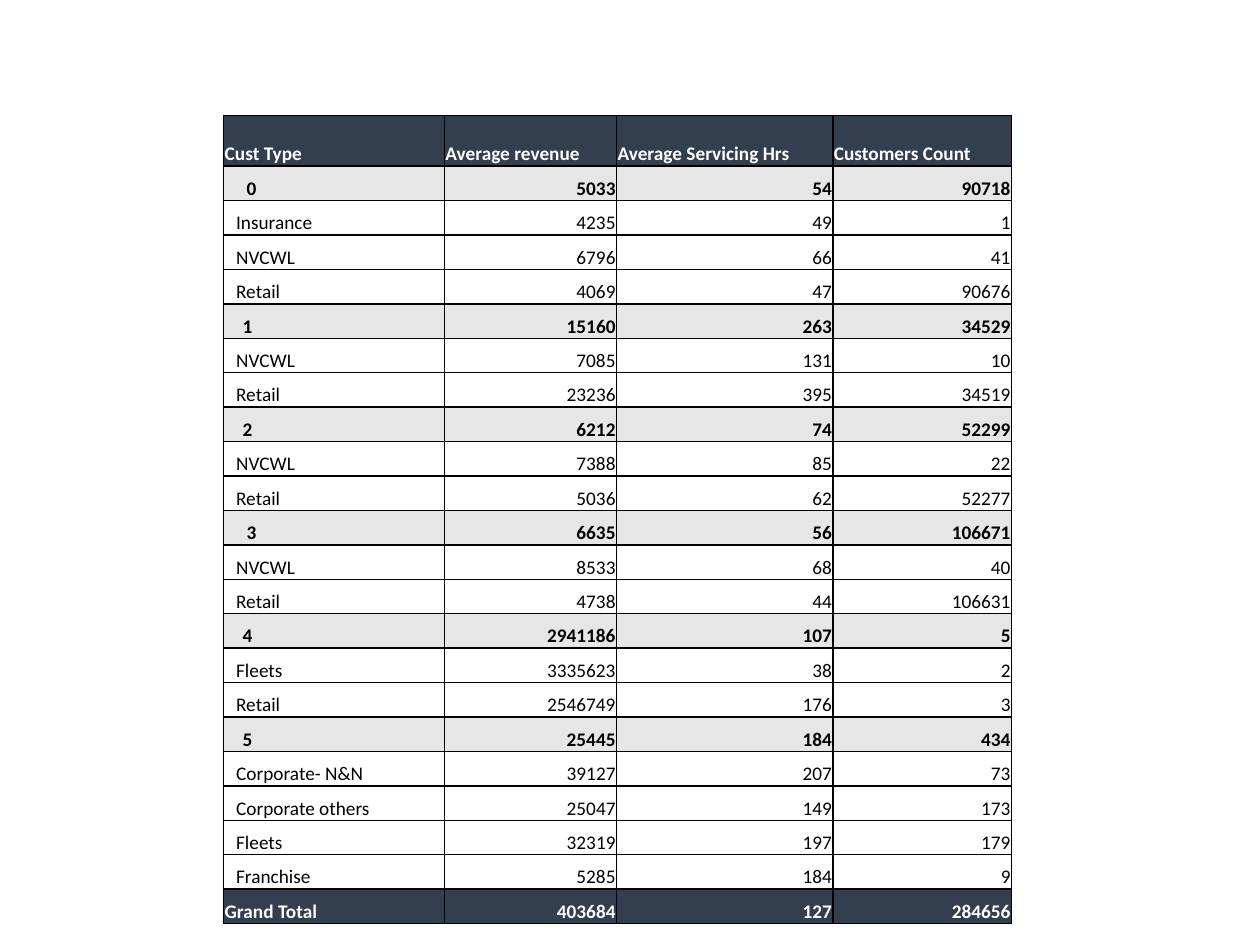
from lxml.etree import SubElement as Sub
from pptx import Presentation
from pptx.dml.color import RGBColor as Rgb
from pptx.enum.text import MSO_ANCHOR as Anchor, PP_ALIGN as Align
from pptx.oxml.ns import qn
from pptx.util import Cm, Pt

COLORS = {"navy": "333F4F", "gray": "E7E6E6", "white": "FFFFFF", "black": "000000"}
HEAD = ("Cust Type", "Average revenue", "Average Servicing Hrs", "Customers Count")
GROUPS = [
    (("0", 5033, 54, 90718),
     [("Insurance", 4235, 49, 1), ("NVCWL", 6796, 66, 41), ("Retail", 4069, 47, 90676)]),
    (("1", 15160, 263, 34529),
     [("NVCWL", 7085, 131, 10), ("Retail", 23236, 395, 34519)]),
    (("2", 6212, 74, 52299),
     [("NVCWL", 7388, 85, 22), ("Retail", 5036, 62, 52277)]),
    (("3", 6635, 56, 106671),
     [("NVCWL", 8533, 68, 40), ("Retail", 4738, 44, 106631)]),
    (("4", 2941186, 107, 5),
     [("Fleets", 3335623, 38, 2), ("Retail", 2546749, 176, 3)]),
    (("5", 25445, 184, 434),
     [("Corporate- N&N", 39127, 207, 73), ("Corporate others", 25047, 149, 173),
      ("Fleets", 32319, 197, 179), ("Franchise", 5285, 184, 9)]),
]
TOTAL = ("Grand Total", 403684, 127, 284656)
WIDTHS = (4.45, 3.47, 4.36, 3.6)
HEAD_H = 1.02
PAD = 0.02
INDENT = {"0": 0.46, "3": 0.46}
STYLES = {
    "band": ("navy", "white", True, PAD),
    "group": ("gray", "black", True, 0.38),
    "item": (None, "black", False, 0.25),
}


def rgb(name):
    """Return the named colour."""
    return Rgb.from_string(COLORS[name])


def add_edges(cell):
    """Draw a thin black line on each side of a cell."""
    props = cell._tc.get_or_add_tcPr()
    for side in ("lnL", "lnR", "lnT", "lnB"):
        line = Sub(props, qn(f"a:{side}"), w=str(Pt(1)))
        fill = Sub(line, qn("a:solidFill"))
        Sub(fill, qn("a:srgbClr"), val=COLORS["black"])


def fill_cell(cell, value, style, first):
    """Write one value into a cell in the style of its row."""
    back, ink, bold, indent = STYLES[style]
    add_edges(cell)
    if back:
        cell.fill.solid()
        cell.fill.fore_color.rgb = rgb(back)
    else:
        cell.fill.background()
    cell.vertical_anchor = Anchor.BOTTOM
    cell.margin_left = Cm(INDENT.get(value, indent) if first else PAD)
    cell.margin_top = cell.margin_right = Cm(PAD)
    cell.margin_bottom = 0
    cell.text = str(value)
    para = cell.text_frame.paragraphs[0]
    para.alignment = Align.LEFT if isinstance(value, str) else Align.RIGHT
    font = para.font
    font.name, font.size, font.bold = "Calibri", Pt(11), bold
    font.color.rgb = rgb(ink)


def list_rows():
    """Return each row with its style, from header to total."""
    rows = [("band", HEAD)]
    for group, items in GROUPS:
        rows.append(("group", group))
        rows += [("item", item) for item in items]
    return rows + [("band", TOTAL)]


def add_grid(slide, left, top, width, height):
    """Place the customer table in the given box."""
    rows = list_rows()
    box = (Cm(left), Cm(top), Cm(width), Cm(height))
    table = slide.shapes.add_table(len(rows), len(HEAD), *box).table
    table.first_row = table.horz_banding = False
    for col, part in zip(table.columns, WIDTHS):
        col.width = Cm(width * part / sum(WIDTHS))
    step = (height - HEAD_H) / (len(rows) - 1)
    for num, (style, values) in enumerate(rows):
        table.rows[num].height = Cm(step if num else HEAD_H)
        for col, value in enumerate(values):
            fill_cell(table.cell(num, col), value, style, col == 0)


def main():
    """Build and save the slide."""
    deck = Presentation()
    deck.slide_width, deck.slide_height = Cm(25.4), Cm(19.05)
    slide = deck.slides.add_slide(deck.slide_layouts[6])
    add_grid(slide, 4.51, 2.33, sum(WIDTHS), 16.31)
    deck.save("out.pptx")


if __name__ == "__main__":
    main()
